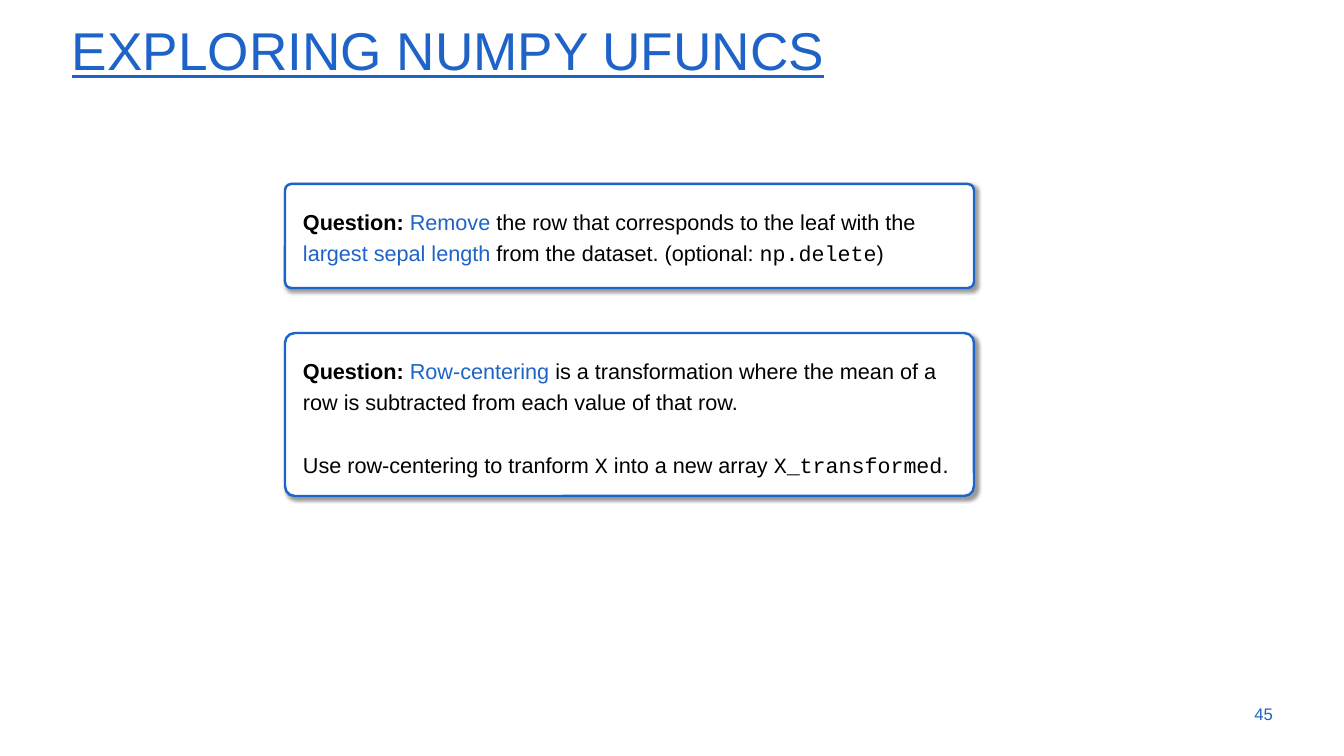
from lxml import etree
from pptx import Presentation
from pptx.dml.color import RGBColor
from pptx.enum.shapes import MSO_SHAPE
from pptx.enum.text import MSO_ANCHOR, PP_ALIGN
from pptx.oxml.ns import qn
from pptx.util import Emu, Pt

ROUNDED = MSO_SHAPE.ROUNDED_RECTANGLE
TOP, MIDDLE = MSO_ANCHOR.TOP, MSO_ANCHOR.MIDDLE
RIGHT = PP_ALIGN.RIGHT

EMU_PER_PX = 12897
BLUE, BLACK, WHITE = "1E64C8", "000000", "FFFFFF"
SANS, MONO = "Arial", "Courier New"

# Run styles: font, colour, bold
BODY = (SANS, BLACK, False)
LABEL = (SANS, BLACK, True)
KEY = (SANS, BLUE, False)
CODE = (MONO, BLACK, False)

CARD_LEFT, CARD_WIDTH = 285, 689
TEXT_LEFT, TEXT_WIDTH, TEXT_DROP = 296, 664, 16

# Card top, card height, paragraphs of (text, style)
QUESTIONS = [
    (333, 163, [
        [("Question: ", LABEL), ("Row-centering", KEY),
         (" is a transformation where the mean of a row is subtracted "
          "from each value of that row.", BODY)],
        [("Use row-centering to tranform ", BODY), ("X", CODE),
         (" into a new array ", BODY), ("X_transformed", CODE), (".", BODY)],
    ]),
    (184, 104, [
        [("Question: ", LABEL), ("Remove ", KEY),
         ("the row that corresponds to the leaf with the ", BODY),
         ("largest sepal length ", KEY),
         ("from the dataset. (optional: ", BODY),
         ("np.delete", CODE), (")", BODY)],
    ]),
]


def px(*lengths):
    return [Emu(length * EMU_PER_PX) for length in lengths]


def color(hex_code):
    return RGBColor.from_string(hex_code)


def add_text_frame(shapes, box, anchor=TOP):
    frame = shapes.add_textbox(*px(*box)).text_frame
    frame.word_wrap = True
    frame.vertical_anchor = anchor
    return frame


def format_run(run, size, style):
    font_name, hex_code, bold = style
    run.font.name = font_name
    run.font.size = Pt(size)
    run.font.bold = bold
    run.font.color.rgb = color(hex_code)


def add_line_of_text(slide, text, box, size):
    """Add a one-line blue text and return its paragraph."""
    line = add_text_frame(slide.shapes, box, MIDDLE).paragraphs[0]
    line.text = text
    format_run(line.runs[0], size, KEY)
    return line


def add_soft_shadow(shape):
    shape.shadow.inherit = False
    effects = shape._element.spPr.find(qn("a:effectLst"))
    shadow = etree.SubElement(
        effects, qn("a:outerShdw"), blurRad=str(Pt(4)), dist=str(Pt(3)),
        dir=str(45 * 60000), algn="tl", rotWithShape="0")
    tint = etree.SubElement(shadow, qn("a:srgbClr"), val=BLACK)
    etree.SubElement(tint, qn("a:alpha"), val="40000")


def add_question(slide, top, height, paragraphs):
    """Group a rounded card with its question text."""
    group = slide.shapes.add_group_shape()
    card = group.shapes.add_shape(
        ROUNDED, *px(CARD_LEFT, top, CARD_WIDTH, height))
    card.adjustments[0] = 0.06
    card.fill.solid()
    card.fill.fore_color.rgb = color(WHITE)
    card.line.color.rgb = color(BLUE)
    card.line.width = Pt(2.5)
    add_soft_shadow(card)

    text_box = (TEXT_LEFT, top + TEXT_DROP, TEXT_WIDTH, height - TEXT_DROP)
    frame = add_text_frame(group.shapes, text_box)
    for index, pieces in enumerate(paragraphs):
        paragraph = frame.add_paragraph() if index else frame.paragraphs[0]
        paragraph.line_spacing = 1.2
        paragraph.space_before = Pt(32 if index else 0)
        for text, style in pieces:
            run = paragraph.add_run()
            run.text = text
            format_run(run, 22, style)


def main():
    deck = Presentation()
    deck.slide_width, deck.slide_height = px(1344, 756)
    slide = deck.slides.add_slide(deck.slide_layouts[6])

    page_number = add_line_of_text(slide, "45", (1208, 694, 72, 40), 17)
    page_number.alignment = RIGHT

    title = add_line_of_text(
        slide, "EXPLORING NUMPY UFUNCS", (65, 20, 1218, 67), 54)
    title.line_spacing = 0.9
    title.runs[0].font.underline = True

    for top, height, paragraphs in QUESTIONS:
        add_question(slide, top, height, paragraphs)

    deck.save("out.pptx")


if __name__ == "__main__":
    main()
